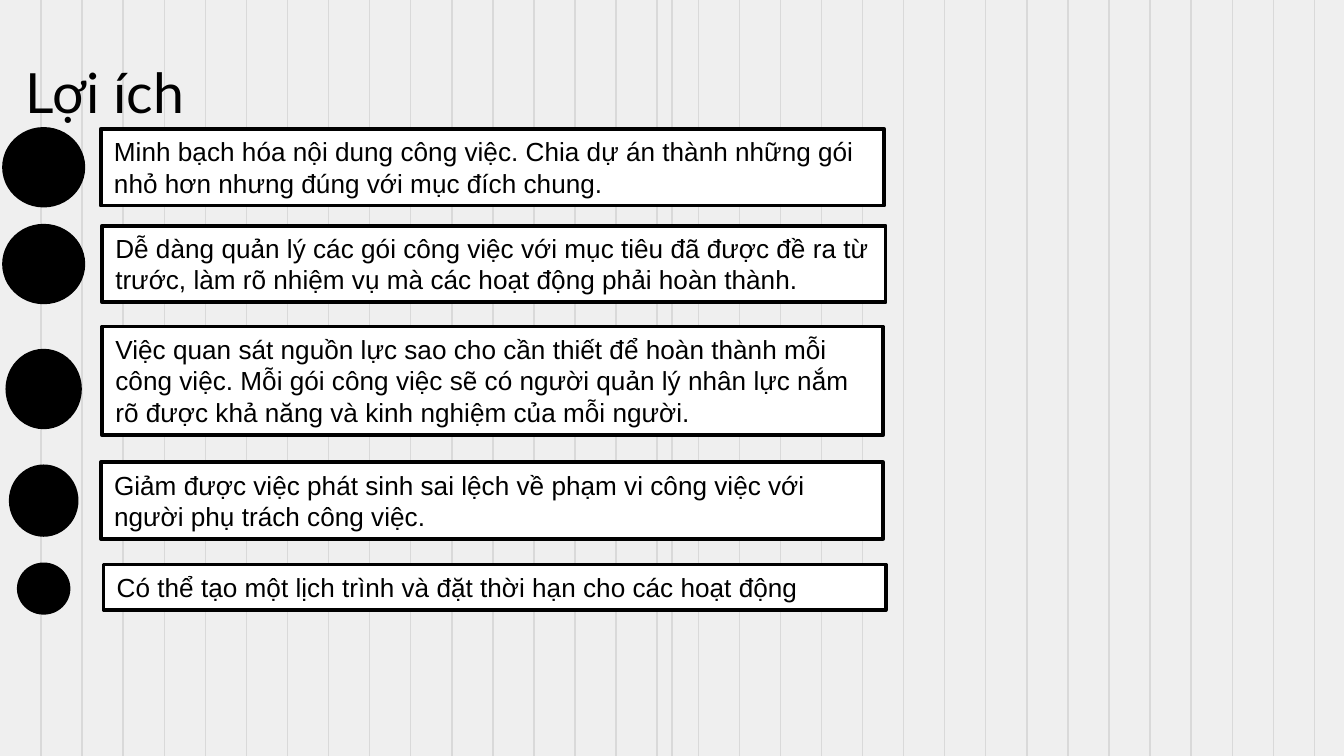
import dataclasses

import pptx
import pptx.dml.color
import pptx.enum.shapes
import pptx.enum.text
import pptx.util
from pptx.oxml.xmlchemy import OxmlElement

SHAPES = pptx.enum.shapes.MSO_SHAPE
ANCHOR = pptx.enum.text.MSO_ANCHOR
AUTO_SIZE = pptx.enum.text.MSO_AUTO_SIZE
ALIGN = pptx.enum.text.PP_ALIGN


@dataclasses.dataclass(frozen=True)
class Theme:
    background: str = "EFEFEF"
    stripe: str = "D9D9D9"
    ink: str = "000000"
    card: str = "FFFFFF"
    title_font: str = "Lato"
    body_font: str = "Arial"
    title_size: float = 29.7
    body_size: float = 14
    stripe_width: float = 0.75
    outline_width: float = 2


@dataclasses.dataclass(frozen=True)
class Benefit:
    """Lengths are grid units; dot_drop lowers the dot from the card's middle."""
    text: str
    top: float
    height: float
    card_left: float
    card_width: float
    dot_width: float
    dot_height: float
    dot_drop: float = 0


THEME = Theme()
COLUMNS, ROWS = 100, 56.25
UNIT = pptx.util.Inches(0.1)
STRIPE_COUNT = 32
STRIPE_PITCH = 97.8 / STRIPE_COUNT
DOT_CENTRE = 3.25

BENEFITS = [
    Benefit("Minh bạch hóa nội dung công việc. Chia dự án thành những gói "
            "nhỏ hơn nhưng đúng với mục đích chung.",
            9.6, 5.7, 7.5, 58.3, 5.9, 5.7),
    Benefit("Dễ dàng quản lý các gói công việc với mục tiêu đã được đề ra từ "
            "trước, làm rõ nhiệm vụ mà các hoạt động phải hoàn thành.",
            16.8, 5.7, 7.6, 58.3, 5.9, 5.7),
    Benefit("Việc quan sát nguồn lực sao cho cần thiết để hoàn thành mỗi "
            "công việc. Mỗi gói công việc sẽ có người quản lý nhân lực nắm "
            "rõ được khả năng và kinh nghiệm của mỗi người.",
            24.3, 8.1, 7.6, 58.1, 5.4, 5.7, 0.6),
    Benefit("Giảm được việc phát sinh sai lệch về phạm vi công việc với "
            "người phụ trách công việc.",
            34.4, 5.7, 7.5, 58.2, 4.9, 5.1),
    Benefit("Có thể tạo một lịch trình và đặt thời hạn cho các hoạt động",
            42, 3.4, 7.7, 58.2, 3.7, 3.6, 0.1),
]


def grid(*lengths):
    return [round(length * UNIT) for length in lengths]


def rgb(value):
    return pptx.dml.color.RGBColor.from_string(value)


def apply(target, values):
    for name, value in values.items():
        setattr(target, name, value)


def write(shape, text, font_name, size, frame_format):
    frame = shape.text_frame
    frame.text = text
    apply(frame, {"word_wrap": True, **frame_format})
    paragraph = frame.paragraphs[0]
    paragraph.alignment = ALIGN.LEFT
    font = paragraph.runs[0].font
    apply(font, {"name": font_name, "size": pptx.util.Pt(size)})
    font.color.rgb = rgb(THEME.ink)


def add_outlined(slide, kind, box, fill):
    shape = slide.shapes.add_shape(kind, *grid(*box))
    shape.shadow.inherit = False
    shape.fill.solid()
    shape.fill.fore_color.rgb = rgb(fill)
    shape.line.color.rgb = rgb(THEME.ink)
    shape.line.width = pptx.util.Pt(THEME.outline_width)
    return shape


def add_stripes(slide, box):
    left, top, width, height = box
    places = [STRIPE_PITCH * (index + 1) for index in range(STRIPE_COUNT)]
    for place in places + [width / 2]:
        line = slide.shapes.add_connector(
            pptx.enum.shapes.MSO_CONNECTOR.STRAIGHT,
            *grid(left + place, top, left + place, top + height))
        line.line.color.rgb = rgb(THEME.stripe)
        line.line.width = pptx.util.Pt(THEME.stripe_width)
        line._element.spPr.append(OxmlElement("a:effectLst"))


def place_title(slide, text, box):
    title = slide.shapes.title
    apply(title, dict(zip(("left", "top", "width", "height"), grid(*box))))
    margins = dict.fromkeys(
        ("margin_left", "margin_top", "margin_right", "margin_bottom"), UNIT)
    write(title, text, THEME.title_font, THEME.title_size,
          {"vertical_anchor": ANCHOR.TOP, "auto_size": AUTO_SIZE.NONE, **margins})
    # The title stands in front of the stripes.
    slide.shapes._spTree.append(title._element)


def add_cards(slide, benefits):
    for benefit in benefits:
        box = (benefit.card_left, benefit.top, benefit.card_width, benefit.height)
        card = add_outlined(slide, SHAPES.RECTANGLE, box, THEME.card)
        write(card, benefit.text, THEME.body_font, THEME.body_size,
              {"vertical_anchor": ANCHOR.TOP,
               "auto_size": AUTO_SIZE.SHAPE_TO_FIT_TEXT})


def add_dots(slide, benefits, centre):
    for benefit in benefits:
        middle = benefit.top + benefit.height / 2 + benefit.dot_drop
        box = (centre - benefit.dot_width / 2, middle - benefit.dot_height / 2,
               benefit.dot_width, benefit.dot_height)
        add_outlined(slide, SHAPES.OVAL, box, THEME.ink)


def build_benefits_slide(presentation):
    slide = presentation.slides.add_slide(presentation.slide_layouts[5])
    slide.background.fill.solid()
    slide.background.fill.fore_color.rgb = rgb(THEME.background)
    add_stripes(slide, (0, 0, COLUMNS, ROWS))
    place_title(slide, "Lợi ích", (0.9, 3.3, 15.5, 6.3))
    add_cards(slide, BENEFITS)
    add_dots(slide, BENEFITS, DOT_CENTRE)


def main():
    presentation = pptx.Presentation()
    presentation.slide_width, presentation.slide_height = grid(COLUMNS, ROWS)
    build_benefits_slide(presentation)
    presentation.save("out.pptx")


if __name__ == "__main__":
    main()
